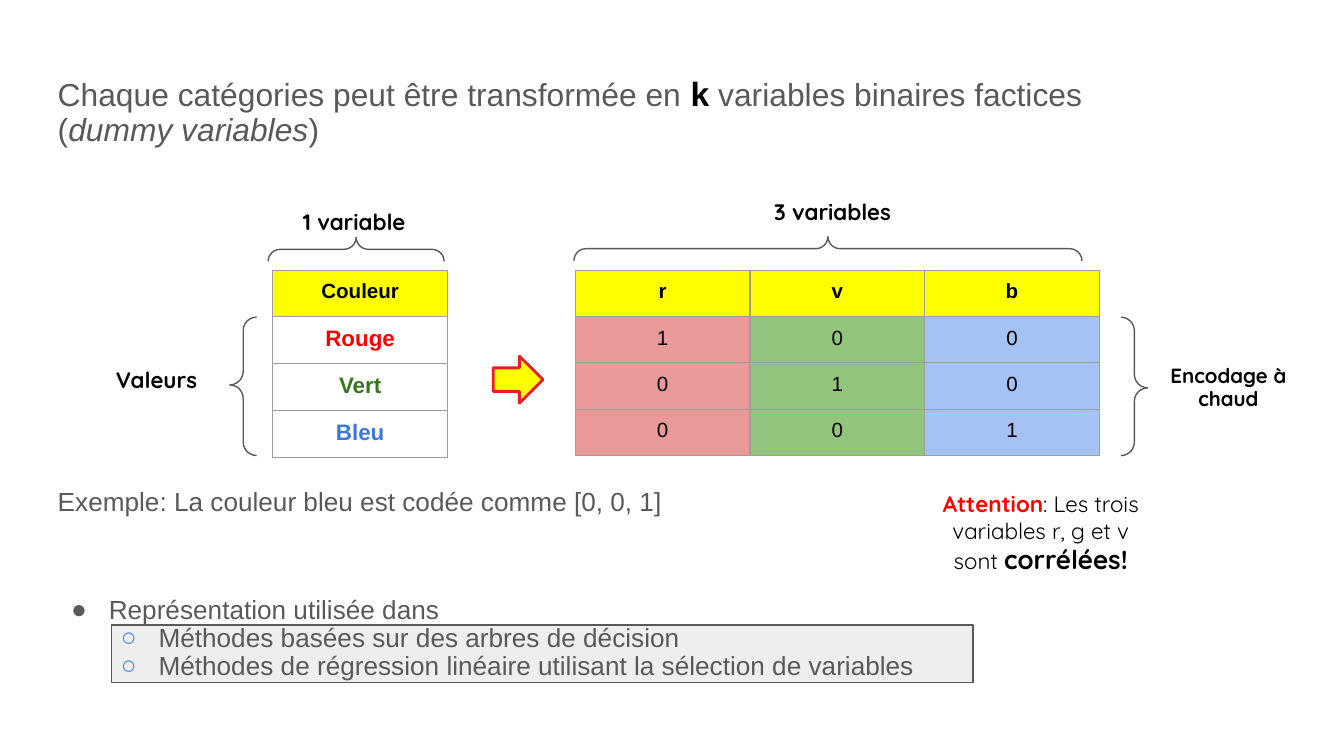
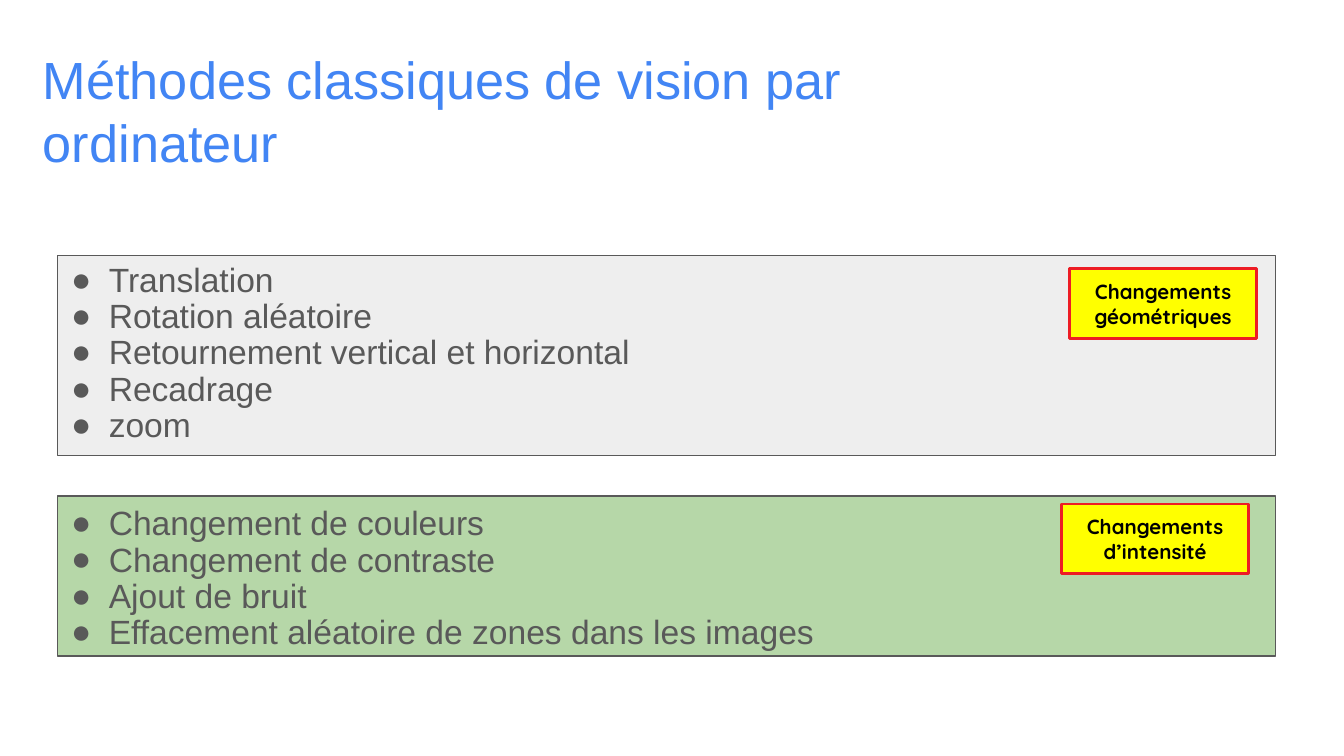
from dataclasses import dataclass

from lxml import etree
from pptx import Presentation
from pptx.dml.color import RGBColor
from pptx.enum.shapes import MSO_SHAPE as Shape
from pptx.enum.text import MSO_ANCHOR as Anchor, PP_ALIGN as Align
from pptx.oxml.ns import qn
from pptx.util import Inches, Pt


@dataclass(frozen=True)
class Theme:
    body_font: str = "Arial"
    label_font: str = "Quicksand"
    grey: str = "595959"
    black: str = "000000"
    white: str = "FFFFFF"
    blue: str = "4285F4"
    yellow: str = "FFFF00"
    red: str = "FF0000"
    red_line: str = "ED1C24"
    border: str = "9E9E9E"
    pale_grey: str = "EEEEEE"
    pale_green: str = "B6D7A8"
    title: int = 28
    list: int = 18
    lead: int = 17
    text: int = 14
    label: int = 12
    small: int = 11
    thin: float = 0.75
    thick: float = 1.5
    tight: float = 0.9
    inset: float = 5.4  # points


THEME = Theme()
MARGIN = 0.43

# Encoding slide
LEAD = [
    ("Chaque catégories peut être transformée en ", {}),
    ("k", {"size": 18, "color": THEME.black, "bold": True}),
    (" variables binaires factices (", {}),
    ("dummy variables", {"italic": True}),
    (")", {}),
]
EXAMPLE = "Exemple: La couleur bleu est codée comme [0, 0, 1]"
USES = [
    ("Représentation utilisée dans", 0),
    ("Méthodes basées sur des arbres de décision", 1),
    ("Méthodes de régression linéaire utilisant la sélection de variables", 1),
]
WARNING = [
    ("Attention", {"color": THEME.red, "bold": True}),
    (": Les trois variables r, g et v sont ", {}),
    ("corrélées!", {"size": THEME.text, "bold": True}),
]
CATEGORIES = [("Rouge", "FF0000"), ("Vert", "38761D"), ("Bleu", "3C78D8")]
DUMMIES = [("r", "EA9999"), ("v", "93C47D"), ("b", "A4C2F4")]
LABELS = [  # text, frame, size, line spacing
    ("Valeurs", (0.68, 2.65, 0.97, 0.35), THEME.label, 1),
    ("1 variable", (1.99, 1.47, 1.29, 0.35), THEME.label, 1),
    ("3 variables", (5.55, 1.4, 1.29, 0.35), THEME.label, 1),
    ("Encodage à chaud", (8.63, 2.65, 1.02, 0.48), THEME.small, THEME.tight),
]
BRACES = [  # shape, frame before rotation, rotation, tip position
    (Shape.LEFT_BRACE, (1.71, 2.36, 0.2, 1.03), 0, 0.49),
    (Shape.LEFT_BRACE, (8.34, 2.36, 0.2, 1.03), 180, 0.49),
    (Shape.RIGHT_BRACE, (2.56, 1.2, 0.18, 1.31), 270, 0.5),
    (Shape.RIGHT_BRACE, (6.07, -0.04, 0.18, 3.78), 270, 0.5),
]
TABLE_TOP, TABLE_HEIGHT, COLUMN_WIDTH = 2.01, 1.38, 1.3

# Vision slide
VISION_TITLE = "Méthodes classiques de vision par ordinateur"
PANELS = [  # fill, top, height, list top, tag, tag position, methods
    (THEME.pale_grey, 1.9, 1.49, 1.96, "Changements géométriques", (7.96, 2),
     ["Translation", "Rotation aléatoire", "Retournement vertical et horizontal",
      "Recadrage", "zoom"]),
    (THEME.pale_green, 3.69, 1.19, 3.77, "Changements d’intensité", (7.9, 3.75),
     ["Changement de couleurs", "Changement de contraste", "Ajout de bruit",
      "Effacement aléatoire de zones dans les images"]),
]


def rgb(color):
    return RGBColor.from_string(color)


def inches(frame):
    return [Inches(value) for value in frame]


def style(font, size=None, color=None, name=None, bold=None, italic=None):
    """Set only the font properties that are given."""
    if size:
        font.size = Pt(size)
    if color:
        font.color.rgb = rgb(color)
    for key, value in (("name", name), ("bold", bold), ("italic", italic)):
        if value is not None:
            setattr(font, key, value)


def write(para, content, align=Align.LEFT, spacing=1, **font):
    """Fill a paragraph with a string or a list of (text, font changes)."""
    para.alignment = align
    if spacing != 1:
        para.line_spacing = spacing
    style(para.font, **font)
    for text, changes in [(content, {})] if isinstance(content, str) else content:
        span = para.add_run()
        span.text = text
        style(span.font, **changes)


def set_margins(holder, inset):
    """Set equal margins on a text frame or a table cell."""
    holder.margin_left = holder.margin_right = Pt(inset)
    holder.margin_top = holder.margin_bottom = Pt(inset)


def add_text_frame(page, frame, inset=0):
    text_frame = page.shapes.add_textbox(*inches(frame)).text_frame
    text_frame.word_wrap = True
    set_margins(text_frame, inset)
    return text_frame


def add_text(page, frame, content, inset=0, **options):
    text_frame = add_text_frame(page, frame, inset)
    write(text_frame.paragraphs[0], content, **options)


def add_list(page, frame, items, size):
    """Add bulleted (text, level) items."""
    text_frame = add_text_frame(page, frame)
    bullets = [("●", THEME.grey, 0.38), ("○", THEME.blue, 0.75)]
    for index, (text, level) in enumerate(items):
        para = text_frame.add_paragraph() if index else text_frame.paragraphs[0]
        symbol, color, indent = bullets[level]
        para.level = level
        props = para._p.get_or_add_pPr()
        props.set("marL", str(Inches(indent)))
        props.set("indent", str(Inches(-0.28)))
        bullet_color = etree.SubElement(props, qn("a:buClr"))
        etree.SubElement(bullet_color, qn("a:srgbClr"), val=color)
        etree.SubElement(props, qn("a:buFont"), typeface=THEME.body_font)
        etree.SubElement(props, qn("a:buChar"), char=symbol)
        write(para, text, spacing=THEME.tight, size=size, color=THEME.grey,
              name=THEME.body_font)


def add_shape(page, kind, frame, fill=None, line=THEME.grey, width=THEME.thin):
    shape = page.shapes.add_shape(kind, *inches(frame))
    shape.shadow.inherit = False
    if fill:
        shape.fill.solid()
        shape.fill.fore_color.rgb = rgb(fill)
    else:
        shape.fill.background()
    shape.line.color.rgb = rgb(line)
    shape.line.width = Pt(width)
    return shape


def add_border(cell):
    props = cell._tc.get_or_add_tcPr()
    for side in ("lnL", "lnR", "lnT", "lnB"):
        line = etree.SubElement(props, qn(f"a:{side}"), w=str(Pt(THEME.thin)))
        fill = etree.SubElement(line, qn("a:solidFill"))
        etree.SubElement(fill, qn("a:srgbClr"), val=THEME.border)


def add_table(page, left, rows):
    """Add rows of (text, fill, font changes)."""
    count = len(rows[0])
    table = page.shapes.add_table(len(rows), count, *inches(
        (left, TABLE_TOP, count * COLUMN_WIDTH, TABLE_HEIGHT))).table
    table.first_row = table.horz_banding = False
    for row_index, row in enumerate(rows):
        for column_index, (text, fill, changes) in enumerate(row):
            cell = table.cell(row_index, column_index)
            add_border(cell)
            cell.fill.solid()
            cell.fill.fore_color.rgb = rgb(fill)
            set_margins(cell, THEME.inset)
            font = {"size": THEME.small, "color": THEME.black,
                    "name": THEME.body_font, **changes}
            write(cell.text_frame.paragraphs[0], text, Align.CENTER, **font)


def header(text):
    return text, THEME.yellow, {"bold": True}


def build_encoding(page):
    add_shape(page, Shape.RECTANGLE, (0.83, 4.65, 6.41, 0.43), THEME.pale_grey)
    body = {"color": THEME.grey, "name": THEME.body_font, "spacing": THEME.tight}
    add_text(page, (MARGIN, 0.58, 8.1, 0.6), LEAD, size=THEME.lead, **body)
    add_text(page, (MARGIN, 3.64, 6, 0.25), EXAMPLE, size=THEME.text, **body)
    add_list(page, (MARGIN, 4.44, 8.1, 0.63), USES, THEME.text)

    add_table(page, 2.03, [[header("Couleur")]] + [
        [(name, THEME.white, {"size": THEME.label, "color": color, "bold": True})]
        for name, color in CATEGORIES])
    add_table(page, 4.28, [[header(name) for name, _ in DUMMIES]] + [
        [(str(int(row == column)), fill, {})
         for column, (_, fill) in enumerate(DUMMIES)]
        for row in range(len(CATEGORIES))])
    add_shape(page, Shape.RIGHT_ARROW, (3.67, 2.65, 0.37, 0.35),
              THEME.yellow, THEME.red_line, THEME.thick)

    for kind, frame, rotation, tip in BRACES:
        brace = add_shape(page, kind, frame)
        brace.rotation = rotation
        brace.adjustments[0] = 0.5
        brace.adjustments[1] = tip
    label = {"inset": THEME.inset, "align": Align.CENTER,
             "color": THEME.black, "name": THEME.label_font}
    for text, frame, size, spacing in LABELS:
        add_text(page, frame, text, size=size, spacing=spacing, bold=True, **label)
    add_text(page, (6.86, 3.57, 1.77, 0.79), WARNING, size=THEME.label, **label)


def build_vision(page):
    add_text(page, (0.32, 0.35, 5.97, 0.95), VISION_TITLE, size=THEME.title,
             color=THEME.blue, name=THEME.body_font)
    for fill, top, height, list_top, tag, position, methods in PANELS:
        add_shape(page, Shape.RECTANGLE, (MARGIN, top, 9.06, height), fill)
        add_list(page, (MARGIN, list_top, 7.4, top + height - list_top),
                 [(method, 0) for method in methods], THEME.list)
        box = add_shape(page, Shape.RECTANGLE, (*position, 1.39, 0.52),
                        THEME.yellow, THEME.red_line, THEME.thick)
        box.text_frame.word_wrap = True
        box.text_frame.vertical_anchor = Anchor.MIDDLE
        set_margins(box.text_frame, THEME.inset)
        write(box.text_frame.paragraphs[0], tag, Align.CENTER, size=THEME.small,
              color=THEME.black, name=THEME.label_font, bold=True)


def main():
    deck = Presentation()
    deck.slide_width = Inches(10)
    deck.slide_height = deck.slide_width * 9 // 16
    for build in (build_encoding, build_vision):
        build(deck.slides.add_slide(deck.slide_layouts[6]))
    deck.save("out.pptx")


if __name__ == "__main__":
    main()
